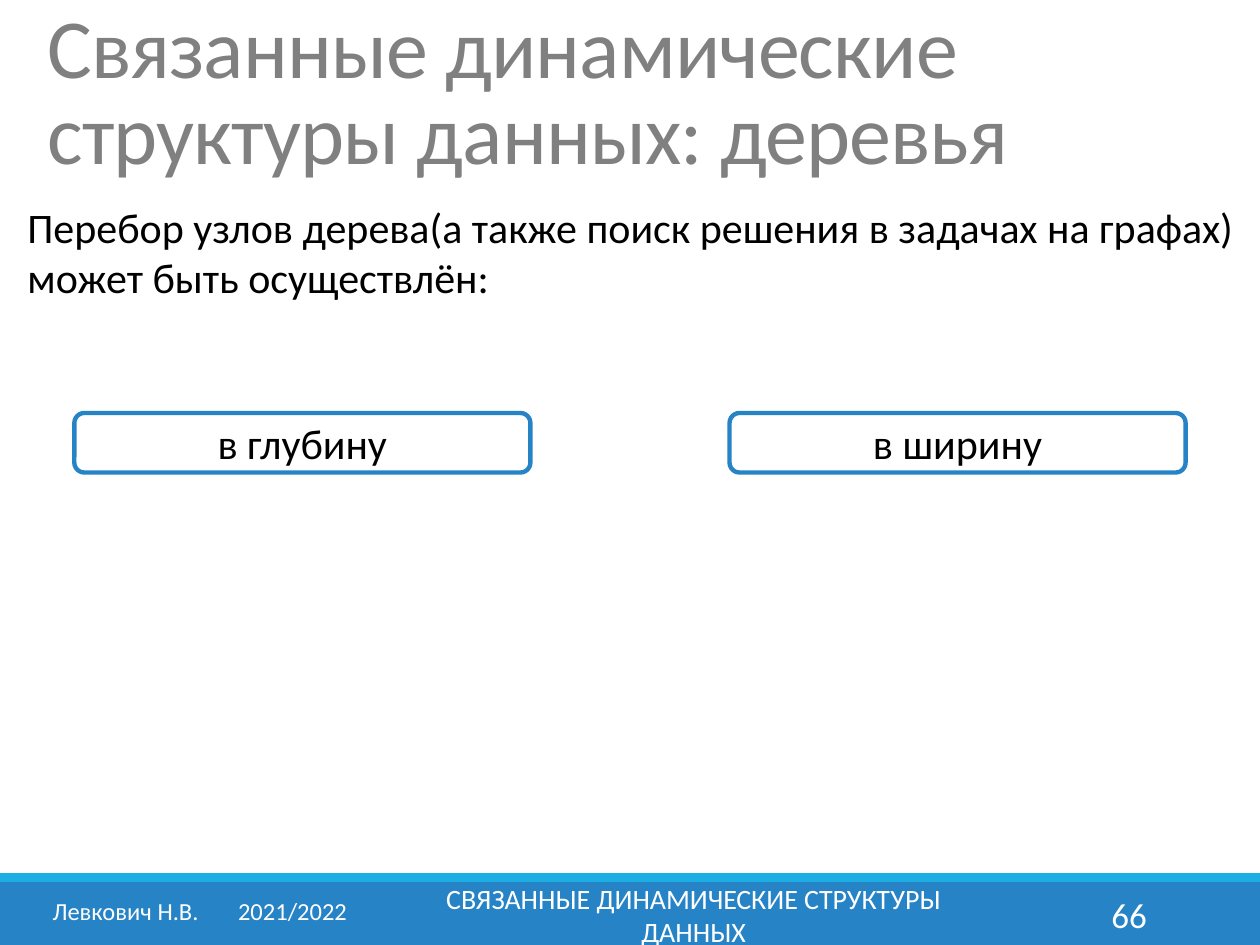
from lxml.etree import SubElement
from pptx import Presentation
from pptx.dml.color import RGBColor
from pptx.enum.shapes import MSO_SHAPE
from pptx.enum.text import MSO_ANCHOR, PP_ALIGN
from pptx.oxml.ns import qn
from pptx.util import Pt

FONT = "Calibri"
BLUE = RGBColor(0x26, 0x83, 0xC6)
LIGHT_BLUE = RGBColor(0x1C, 0xAD, 0xE4)
GRAY = RGBColor(0x80, 0x80, 0x80)
BLACK = RGBColor(0, 0, 0)
WHITE = RGBColor(0xFF, 0xFF, 0xFF)

FOOTER_TOP, FOOTER_HEIGHT = 508.3, 28.8


def write_text(shape, text, size, color, align=PP_ALIGN.LEFT, anchor=MSO_ANCHOR.TOP):
    """Put one run of text into a shape and return its paragraph."""
    frame = shape.text_frame
    frame.word_wrap = True
    frame.vertical_anchor = anchor
    paragraph = frame.paragraphs[0]
    paragraph.alignment = align
    run = paragraph.add_run()
    run.text = text
    run.font.name = FONT
    run.font.size = Pt(size)
    run.font.color.rgb = color
    return paragraph


def add_text(slide, box, text, size, color, **layout):
    shape = slide.shapes.add_textbox(*map(Pt, box))
    return write_text(shape, text, size, color, **layout)


def add_band(slide, top, height, color):
    shape = slide.shapes.add_shape(MSO_SHAPE.RECTANGLE, 0, Pt(top), Pt(720), Pt(height))
    shape.shadow.inherit = False
    shape.fill.solid()
    shape.fill.fore_color.rgb = color
    shape.line.fill.background()


def add_option(slide, left, text):
    shape = slide.shapes.add_shape(
        MSO_SHAPE.ROUNDED_RECTANGLE, Pt(left), Pt(236), Pt(260.6), Pt(34))
    shape.shadow.inherit = False
    shape.fill.background()
    shape.line.color.rgb = BLUE
    shape.line.width = Pt(2.5)
    write_text(shape, text, 24, BLACK, align=PP_ALIGN.CENTER, anchor=MSO_ANCHOR.MIDDLE)


def add_tab_stop(paragraph, position):
    tab_list = SubElement(paragraph._p.get_or_add_pPr(), qn("a:tabLst"))
    SubElement(tab_list, qn("a:tab"), pos=str(Pt(position)), algn="l")


def add_footer(slide):
    add_band(slide, 504, 36, BLUE)
    add_band(slide, 499, 5, LIGHT_BLUE)
    author = add_text(slide, (23, FOOTER_TOP, 188, FOOTER_HEIGHT),
                      "Левкович Н.В. \t2021/2022", 14, WHITE)
    add_tab_stop(author, 106)
    add_text(slide, (217.4, FOOTER_TOP, 358, FOOTER_HEIGHT),
             "СВЯЗАННЫЕ ДИНАМИЧЕСКИЕ СТРУКТУРЫ ДАННЫХ", 16, WHITE,
             align=PP_ALIGN.CENTER, anchor=MSO_ANCHOR.MIDDLE)
    add_text(slide, (584.6, FOOTER_TOP, 77.8, FOOTER_HEIGHT), "66", 20, WHITE,
             align=PP_ALIGN.RIGHT, anchor=MSO_ANCHOR.MIDDLE)


def main():
    presentation = Presentation()
    presentation.slide_width, presentation.slide_height = Pt(720), Pt(540)
    slide = presentation.slides.add_slide(presentation.slide_layouts[6])

    add_footer(slide)

    # Title, slightly condensed
    title = add_text(slide, (20.2, 2.2, 680.4, 114.5),
                     "Связанные динамические структуры данных: деревья", 48, GRAY)
    title.line_spacing = 0.85
    title.runs[0].font._element.set("spc", "-50")

    # Introduction and the two traversal orders
    add_text(slide, (8.6, 111.6, 708.5, 65.5),
             "Перебор узлов дерева(а также поиск решения в задачах на графах) "
             "может быть осуществлён:", 24, BLACK)
    for left, text in ((42.5, "в глубину"), (416.9, "в ширину")):
        add_option(slide, left, text)

    presentation.save("out.pptx")


if __name__ == "__main__":
    main()
